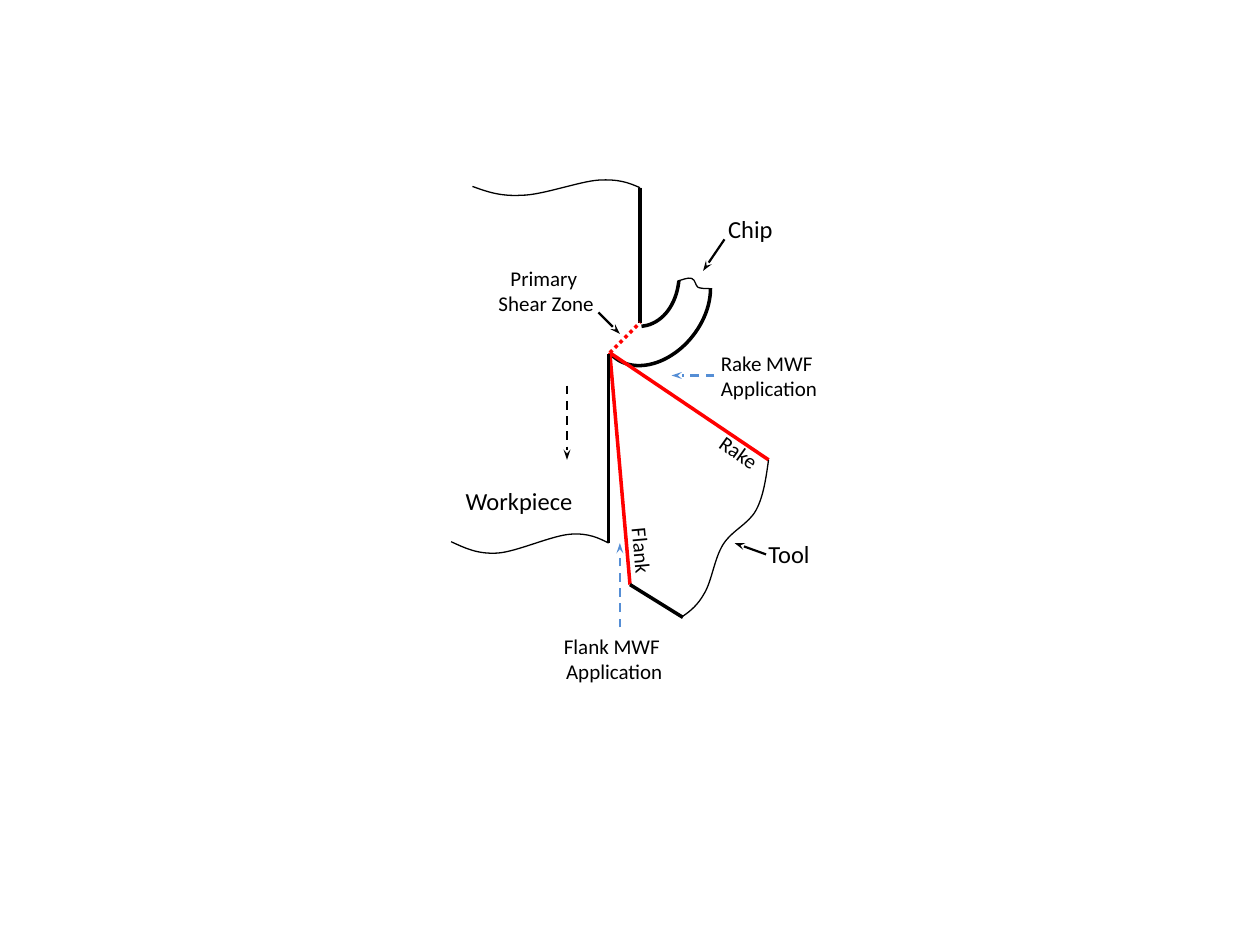
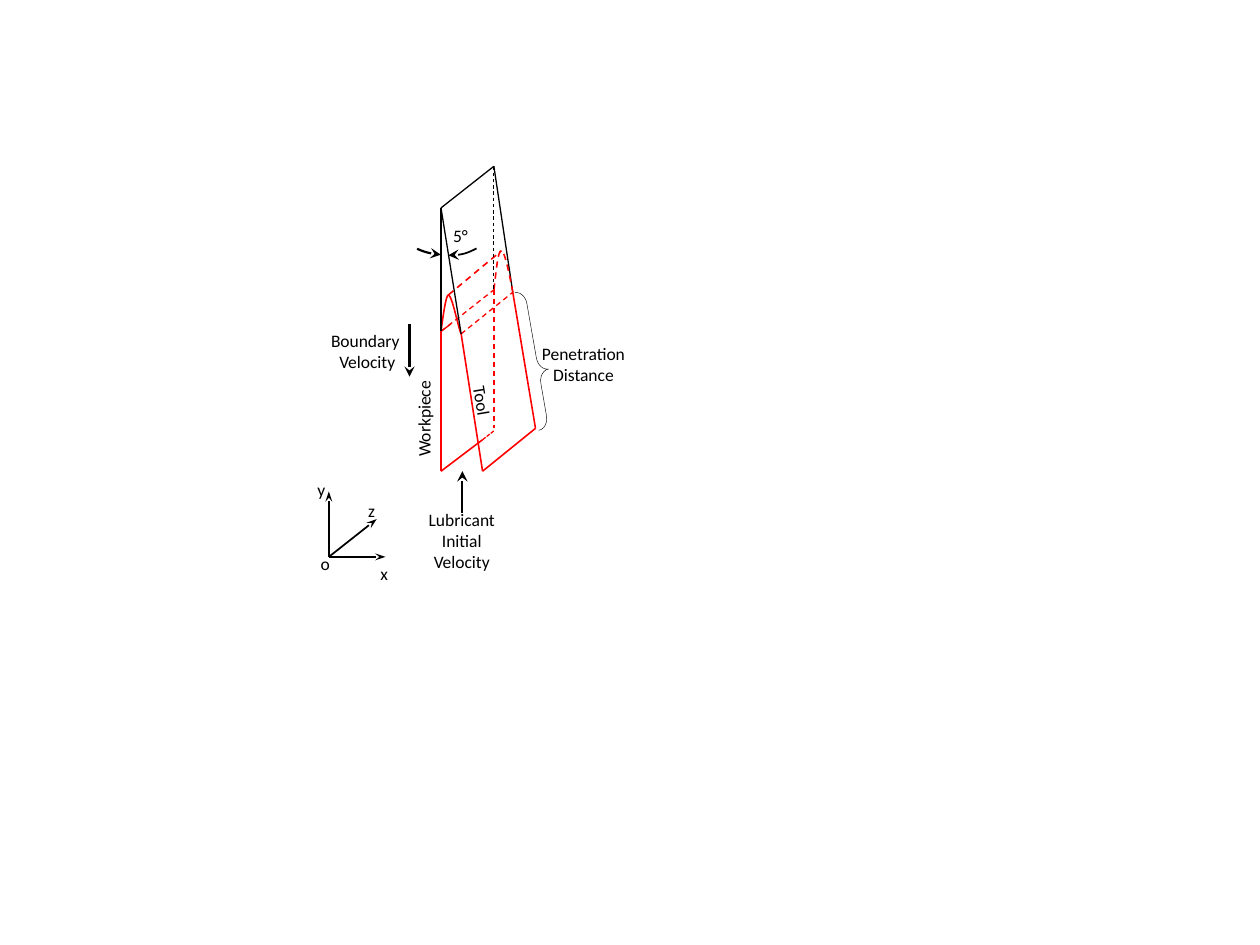
import pptx
import pptx.util
import pptx.dml.color
import pptx.enum.dml
import pptx.enum.shapes
import pptx.enum.text
import lxml.etree

Dash = pptx.enum.dml.MSO_LINE
Align = pptx.enum.text.PP_ALIGN
Kind = pptx.enum.shapes.MSO_SHAPE

BLACK, RED, BLUE = "000000", "FF0000", "558ED5"
THEME = {
    "font": "Calibri",
    "ink": BLACK,
    "size": {"big": 14, "mid": 12, "small": 10},
    "pens": {
        "edge": (BLACK, 2, None, None, None),
        "face": (RED, 2, None, None, None),
        "shear": (RED, 2, Dash.ROUND_DOT, None, None),
        "thin": (BLACK, 0.75, None, None, None),
        "point": (BLACK, 1.25, None, "tailEnd", "sm"),
        "move": (BLACK, 1.25, Dash.DASH, "tailEnd", "sm"),
        "fluid": (BLUE, 1.25, Dash.DASH, "tailEnd", "sm"),
        "flow": (BLACK, 1.25, None, "tailEnd", "med"),
        "axis": (BLACK, 1, None, "tailEnd", "sm"),
        "sweep": (BLACK, 1.25, None, "headEnd", "med"),
        "swing": (BLACK, 1, None, "tailEnd", "med"),
        "film": (RED, 0.91, None, None, None),
        "crest": (RED, 0.91, Dash.DASH, None, None),
        "rim": (RED, 0.75, None, None, None),
        "hidden": (RED, 0.75, Dash.DASH, None, None),
        "joint": (RED, 0.75, Dash.SQUARE_DOT, None, None),
        "back": (BLACK, 0.5, Dash.DASH, None, None),
        "brace": (BLACK, 0.25, None, None, None),
    },
}

TIP, ROOT = (4.84, 2.8), (5.08, 2.56)
RAKE, HEEL, BASE = (6.1, 3.65), (5, 4.64), (5.42, 4.9)
CURL, LIP = (5.38, 2.23), (5.63, 2.29)
TOP, FOOT = (5.08, 1.49), (4.83, 4.31)

CUT = {
    "forms": [
        (Kind.ARC, "edge", (4.68, 2.05, 1.04, 0.76), 128, (128.4, 3.72)),
        (Kind.ARC, "edge", (4.48, 1.7, 1.04, 0.76), 74.9, (183.66, 3)),
    ],
    "strokes": [
        ("face", [TIP, RAKE]),
        ("face", [TIP, HEEL]),
        ("thin", [CURL, (5.42, 2.22), (5.46, 2.2), (5.49, 2.21),
                  (5.52, 2.22), (5.52, 2.27), (5.54, 2.28),
                  (5.56, 2.29), (5.6, 2.29), LIP]),
        ("edge", [TOP, ROOT]),
        ("edge", [(4.83, 2.81), FOOT]),
        ("thin", [TOP, (4.99, 1.45), (4.91, 1.42), (4.75, 1.43),
                  (4.6, 1.44), (4.3, 1.55), (4.14, 1.55),
                  (3.97, 1.56), (3.86, 1.52), (3.75, 1.48)]),
        ("thin", [FOOT, (4.75, 4.27), (4.67, 4.23), (4.53, 4.24),
                  (4.38, 4.25), (4.1, 4.38), (3.95, 4.39),
                  (3.79, 4.4), (3.69, 4.35), (3.58, 4.3)]),
        ("edge", [HEEL, BASE]),
        ("point", [(5.75, 1.9), (5.58, 2.15)]),
        ("thin", [RAKE, (6.08, 3.79), (6.06, 3.94), (6, 4.05),
                  (5.94, 4.16), (5.81, 4.21), (5.74, 4.32),
                  (5.67, 4.43), (5.65, 4.61), (5.59, 4.71),
                  (5.54, 4.8), (5.48, 4.85), (5.42, 4.89)]),
        ("point", [(6.08, 4.4), (5.83, 4.31)]),
        ("fluid", [(5.67, 2.98), (5.33, 2.98)]),
        ("fluid", [(4.92, 4.98), (4.92, 4.31)]),
        ("move", [(4.5, 3.06), (4.5, 3.65)]),
        ("shear", [TIP, ROOT]),
        ("point", [(4.75, 2.48), (4.92, 2.65)]),
    ],
    "labels": [
        (["Chip"], "big", (5.58, 1.65, 0.75, 0.34), 0),
        (["Rake"], "mid", (5.6, 3.44, 0.53, 0.3), 35.3),
        (["Rake MWF", " Application"], "mid", (5.5, 2.73, 1.17, 0.5), 0),
        (["Flank MWF ", "Application"], "mid", (4.25, 4.98, 1.25, 0.5), 0),
        (["Tool"], "big", (6, 4.23, 0.54, 0.34), 0, False),
        (["Flank"], "mid", (4.8, 4.22, 0.59, 0.3), 84.8),
        (["Workpiece"], "big", (3.58, 3.81, 1.08, 0.34), 0),
        (["Primary ", "Shear Zone"], "mid", (3.75, 2.06, 1.17, 0.5), 0),
    ],
}

PEAK, LEFT, RIGHT = (3.5, 1.65), (3.5, 2.63), (3.66, 2.65)
WALL, TOE, CREST = (3.5, 3.74), (3.83, 3.74), (3.56, 2.34)
PEAK_B, LEFT_B, RIGHT_B = (3.92, 1.32), (3.92, 2.3), (4.07, 2.32)
WALL_B, TOE_B, CREST_B = (3.92, 3.4), (4.25, 3.4), (3.98, 1.99)
CROSS, ZERO = (3.83, 3.49), (2.61, 4.42)

WEDGE = {
    "forms": [
        (Kind.ARC, "sweep", (3.06, 1.16, 0.72, 0.93), 124.5, (188.64, 205.8)),
        (Kind.ARC, "swing", (3.39, 1.17, 0.64, 0.91), 221.5, (130.08, 149.52)),
        (Kind.RIGHT_BRACE, "brace", (4.18, 2.3, 0.16, 1.11), 350.1,
         (0.64, 0.58)),
    ],
    "strokes": [
        ("film", [LEFT, WALL]),
        ("film", [RIGHT, TOE]),
        ("flow", [(3.25, 2.57), (3.25, 2.99)]),
        ("flow", [(3.67, 4.07), (3.67, 3.74)]),
        ("thin", [PEAK, PEAK_B]),
        ("hidden", [LEFT, LEFT_B]),
        ("film", [TOE, TOE_B]),
        ("thin", [PEAK_B, RIGHT_B]),
        ("film", [LEFT, (3.52, 2.49), (3.54, 2.34), CREST,
                  (3.59, 2.35), (3.64, 2.61), RIGHT]),
        ("crest", [LEFT_B, (3.94, 2.14), (3.95, 1.99), CREST_B,
                   (4.01, 1.99), (4.06, 2.27), RIGHT_B]),
        ("crest", [CREST, CREST_B]),
        ("rim", [LEFT, (3.58, 2.57)]),
        ("hidden", [RIGHT, RIGHT_B]),
        ("film", [WALL, CROSS]),
        ("hidden", [LEFT_B, WALL_B]),
        ("joint", [CROSS, (3.92, 3.42)]),
        ("thin", [PEAK, LEFT]),
        ("back", [PEAK_B, LEFT_B]),
        ("thin", [PEAK, RIGHT]),
        ("film", [RIGHT_B, TOE_B]),
        ("axis", [ZERO, (2.99, 4.12)]),
        ("axis", [ZERO, (3.06, 4.42)]),
        ("axis", [ZERO, (2.61, 3.9)]),
    ],
    "labels": [
        (["Lubricant Initial Velocity"], "small", (3.25, 3.99, 0.83, 0.6), 0),
        (["Boundary ", "Velocity"], "small", (2.5, 2.57, 0.83, 0.44), 0),
        (["5°"], "small", (3.42, 1.74, 0.47, 0.27), 0),
        (["Workpiece"], "small", (2.87, 3.19, 0.99, 0.27), 270),
        (["Tool"], "small", (3.41, 3.05, 0.83, 0.27), 80.5),
        (["Penetration Distance"], "small", (4.17, 2.67, 0.92, 0.44), 0),
        (["y"], "small", (2.42, 3.75, 0.26, 0.27), 0),
        (["o"], "small", (2.42, 4.34, 0.32, 0.27), 0),
        (["z"], "small", (2.83, 3.92, 0.19, 0.27), 0),
        (["x"], "small", (2.92, 4.42, 0.26, 0.27), 0),
    ],
}


def span(val):
    return pptx.util.Cm(val * 2.54)


def tint(code):
    return pptx.dml.color.RGBColor.from_string(code)


def add_tag(node, name, **attrs):
    lxml.etree.SubElement(node, pptx.oxml.ns.qn(name), **attrs)


def ink(shape, pen):
    code, width, dash, end, wide = THEME["pens"][pen]
    line = shape.line
    line.color.rgb = tint(code)
    line.width = pptx.util.Pt(width)
    if dash is not None:
        line.dash_style = dash
    if end:
        add_tag(line._get_or_add_ln(), "a:" + end, type="stealth", w=wide)


def outline(shape, pen):
    shape.fill.background()
    ink(shape, pen)
    shape.shadow.inherit = False


def bend(shape):
    name = pptx.oxml.ns.qn
    legs = list(shape._element.iter(name("a:lnTo")))
    for k in range(0, len(legs), 3):
        curve = legs[k].makeelement(name("a:cubicBezTo"))
        legs[k].addprevious(curve)
        for leg in legs[k:k + 3]:
            curve.append(leg[0])
            leg.getparent().remove(leg)


def add_form(slide, kind, pen, place, turn, marks):
    shape = slide.shapes.add_shape(kind, *map(span, place))
    shape.rotation = turn
    for n, mark in enumerate(marks):
        shape.adjustments[n] = mark
    outline(shape, pen)


def add_stroke(slide, pen, pts):
    path = [(span(x), span(y)) for x, y in pts]
    if len(path) == 2:
        kind = pptx.enum.shapes.MSO_CONNECTOR.STRAIGHT
        shape = slide.shapes.add_connector(kind, *path[0], *path[1])
        ink(shape, pen)
        add_tag(shape._element.spPr, "a:effectLst")
    else:
        form = slide.shapes.build_freeform(*path[0])
        form.add_line_segments(path[1:], close=False)
        shape = form.convert_to_shape()
        bend(shape)
        outline(shape, pen)


def add_label(slide, lines, size, place, turn, wrap=True):
    box = slide.shapes.add_textbox(*map(span, place))
    box.rotation = turn
    frame = box.text_frame
    frame.word_wrap = wrap
    frame.auto_size = pptx.enum.text.MSO_AUTO_SIZE.SHAPE_TO_FIT_TEXT
    for n, words in enumerate(lines):
        para = frame.add_paragraph() if n else frame.paragraphs[0]
        para.alignment = Align.CENTER if wrap else Align.LEFT
        run = para.add_run()
        run.text = words
        run.font.name = THEME["font"]
        run.font.size = pptx.util.Pt(THEME["size"][size])
        run.font.color.rgb = tint(THEME["ink"])


def main():
    deck = pptx.Presentation()
    deck.slide_width, deck.slide_height = span(10), span(7.5)
    for scene in (CUT, WEDGE):
        slide = deck.slides.add_slide(deck.slide_layouts[6])
        for form in scene["forms"]:
            add_form(slide, *form)
        for stroke in scene["strokes"]:
            add_stroke(slide, *stroke)
        for label in scene["labels"]:
            add_label(slide, *label)
    deck.save("out.pptx")


if __name__ == "__main__":
    main()
